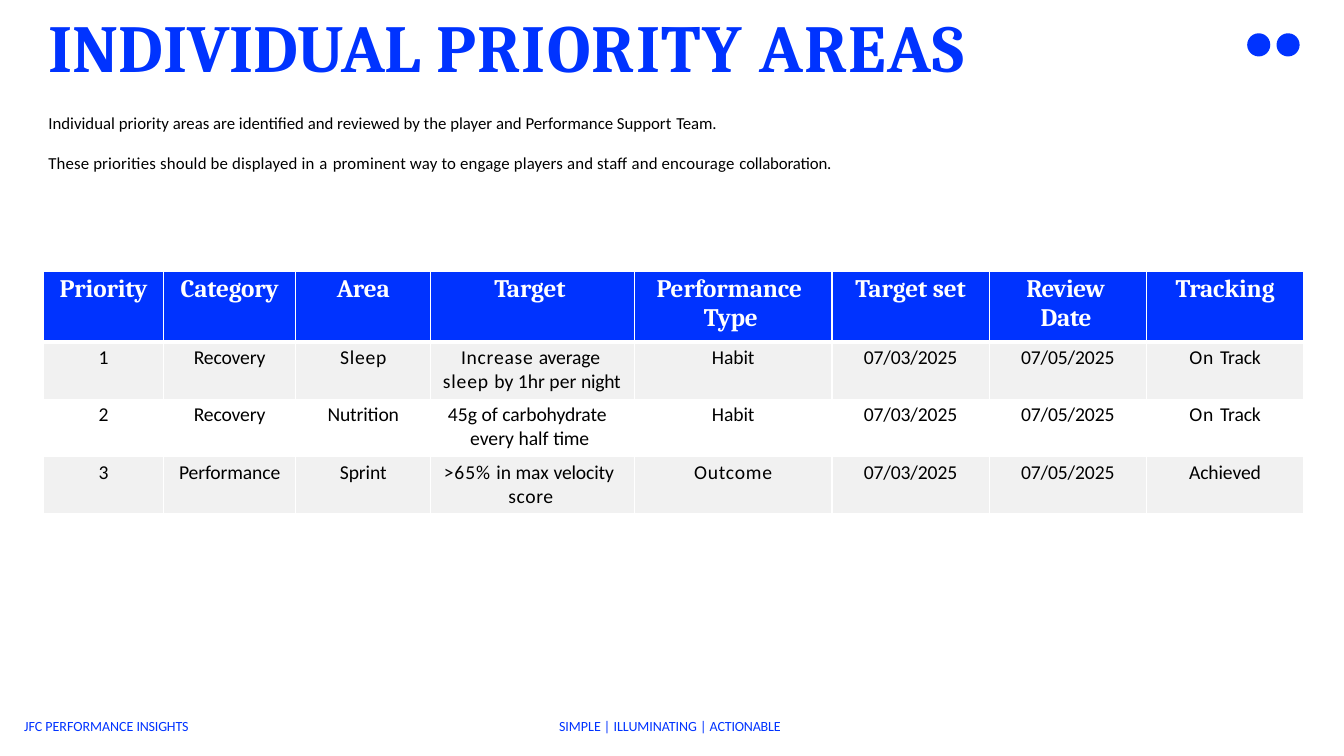
from lxml.etree import SubElement
from pptx import Presentation
from pptx.dml.color import RGBColor
from pptx.enum.shapes import MSO_SHAPE
from pptx.enum.text import MSO_ANCHOR, PP_ALIGN
from pptx.oxml.ns import qn
from pptx.util import Inches, Pt

THEME = {
    "blue": RGBColor.from_string("0033FF"),
    "black": RGBColor.from_string("000000"),
    "white": RGBColor.from_string("FFFFFF"),
    "band": RGBColor.from_string("F1F1F1"),
    "heading_font": "Cambria",
    "body_font": "Calibri",
    "title": 48,
    "header": 18,
    "cell": 14,
    "intro": 12,
    "footer": 10,
}

presentation = Presentation()
presentation.slide_width = Inches(13.33)
presentation.slide_height = Inches(7.5)
column = presentation.slide_width / 100
row = presentation.slide_height / 100
slide = presentation.slides.add_slide(presentation.slide_layouts[5])


def place(left, top, width, height):
    return [round(length) for length in (left * column, top * row, width * column, height * row)]


def write(frame, paragraphs, font, size, color, bold=False, before=(1,), align=PP_ALIGN.LEFT, top=0.01):
    frame.word_wrap = True
    frame.vertical_anchor = MSO_ANCHOR.TOP
    margins = {"margin_left": 0, "margin_right": 0, "margin_top": Inches(top), "margin_bottom": 0}
    for name, value in margins.items():
        setattr(frame, name, value)
    for index, runs in enumerate(paragraphs):
        paragraph = frame.paragraphs[0] if index == 0 else frame.add_paragraph()
        paragraph.alignment = align
        paragraph.space_before = Pt(before[index])
        for text, spacing in runs:
            run = paragraph.add_run()
            run.text = text
            text_format = {"name": font, "size": Pt(size), "bold": bold}
            for name, value in text_format.items():
                setattr(run.font, name, value)
            run.font.color.rgb = color
            run.font._element.set("spc", str(round(spacing * 100)))


title = slide.shapes.title
title.left, title.top, title.width, title.height = place(3.6, 0.53, 70.74, 11.07)
write(title.text_frame, [[("INDIVIDUAL ", 0), ("PRIORITY AREAS", 1)]],
      THEME["heading_font"], THEME["title"], THEME["blue"], bold=True)

for icon_left in (92.8, 94.98):
    icon = slide.shapes.add_shape(MSO_SHAPE.OVAL, *place(icon_left, 4.4, 1.72, 3.07))
    icon.shadow.inherit = False
    icon.fill.solid()
    icon.fill.fore_color.rgb = THEME["blue"]
    icon.line.fill.background()

intro = [
    [("Individual priority areas are identified and reviewed by the player and Performance Support ", 0),
     ("Team.", -0.1)],
    [("These priorities should be displayed in ", 0.1), ("a ", 0.6),
     ("prominent way to engage players and staff and encourage ", 0.1), ("collaboration.", -0.1)],
]
text_boxes = [
    ((3.6, 14.8, 60.77, 8.4), intro, "intro", "black", (1, 14.4)),
    ((1.8, 94.8, 12.83, 2.53), [[("JFC PERFORMANCE ", 0), ("INSIGHTS", -0.1)]],
     "footer", "blue", (0.9,)),
    ((41.6, 94.8, 16.95, 2.53), [[("SIMPLE | ILLUMINATING | ", 0), ("ACTIONABLE", -0.1)]],
     "footer", "blue", (0.9,)),
]
for area, paragraphs, size, color, before in text_boxes:
    box = slide.shapes.add_textbox(*place(*area))
    write(box.text_frame, paragraphs, THEME["body_font"], THEME[size], THEME[color], before=before)

on_track = [("On ", 0.7), ("Track", -0.1)]
priorities = [
    ["Priority", "Category", "Area", "Target", [("Performance ", -0.1), ("Type", -0.2)],
     [("Target ", 0), ("set", -0.2)], [("Review ", -0.4), ("Date", -0.2)], "Tracking"],
    ["1", "Recovery", [("Sleep", 0.5)],
     [("Increase ", 0.5), ("average ", -0.1), ("sleep ", 0.6), ("by 1hr per ", 0), ("night", -0.2)],
     "Habit", "07/03/2025", "07/05/2025", on_track],
    ["2", "Recovery", "Nutrition",
     [("45g of ", 0), ("carbohydrate ", -0.1), ("every half ", 0), ("time", -0.2)],
     "Habit", "07/03/2025", "07/05/2025", on_track],
    ["3", "Performance", "Sprint",
     [(">65% ", 0.6), ("in max ", 0), ("velocity ", -0.1), ("score", 0.4)],
     [("Outcome", 0.5)], "07/03/2025", "07/05/2025", "Achieved"],
]
hanging_indents = {
    (0, 3): (0.63, 0), (0, 4): (0.69, -0.47), (0, 6): (0.51, -0.14),
    (1, 3): (0.12, 0.18), (2, 3): (0.39, -0.22), (3, 3): (0.77, -0.64),
}
column_shares = [8.93, 9.83, 10.05, 15.15, 14.7, 11.7, 11.7, 11.7]
row_shares = [9.33, 7.6, 7.6, 7.6]

table = slide.shapes.add_table(
    len(row_shares), len(column_shares),
    *place(3.25, 35.87, sum(column_shares), sum(row_shares))).table
for table_column, share in zip(table.columns, column_shares):
    table_column.width = round(share * column)
for table_row, share in zip(table.rows, row_shares):
    table_row.height = round(share * row)

for row_index, values in enumerate(priorities):
    header = row_index == 0
    fill = THEME["blue"] if header else THEME["band"] if row_index % 2 else THEME["white"]
    style = {
        "font": THEME["heading_font" if header else "body_font"],
        "size": THEME["header" if header else "cell"],
        "color": THEME["white" if header else "black"],
        "bold": header,
        "before": (3.1 if header else 2.5,),
        "top": 0.04,
    }
    borders = {"lnL": 1, "lnR": 1, "lnT": 3 if row_index == 1 else 1, "lnB": 3 if header else 1}
    for column_index, value in enumerate(values):
        cell = table.cell(row_index, column_index)
        runs = [(value, -0.1)] if isinstance(value, str) else value
        indent = hanging_indents.get((row_index, column_index))
        write(cell.text_frame, [runs], align=PP_ALIGN.LEFT if indent else PP_ALIGN.CENTER, **style)
        if indent:
            properties = cell.text_frame.paragraphs[0]._p.get_or_add_pPr()
            for name, length in zip(("marL", "indent"), indent):
                properties.set(name, str(Inches(length)))
        cell_format = {"margin_left": 0, "margin_right": 0, "margin_top": Inches(0.04),
                       "margin_bottom": 0, "vertical_anchor": MSO_ANCHOR.TOP}
        for name, setting in cell_format.items():
            setattr(cell, name, setting)
        cell_properties = cell._tc.get_or_add_tcPr()
        for side, width in borders.items():
            line = SubElement(cell_properties, qn(f"a:{side}"), w=str(Pt(width)))
            line_fill = SubElement(line, qn("a:solidFill"))
            SubElement(line_fill, qn("a:srgbClr"), val=str(THEME["white"]))
        cell.fill.solid()
        cell.fill.fore_color.rgb = fill

presentation.save("out.pptx")
